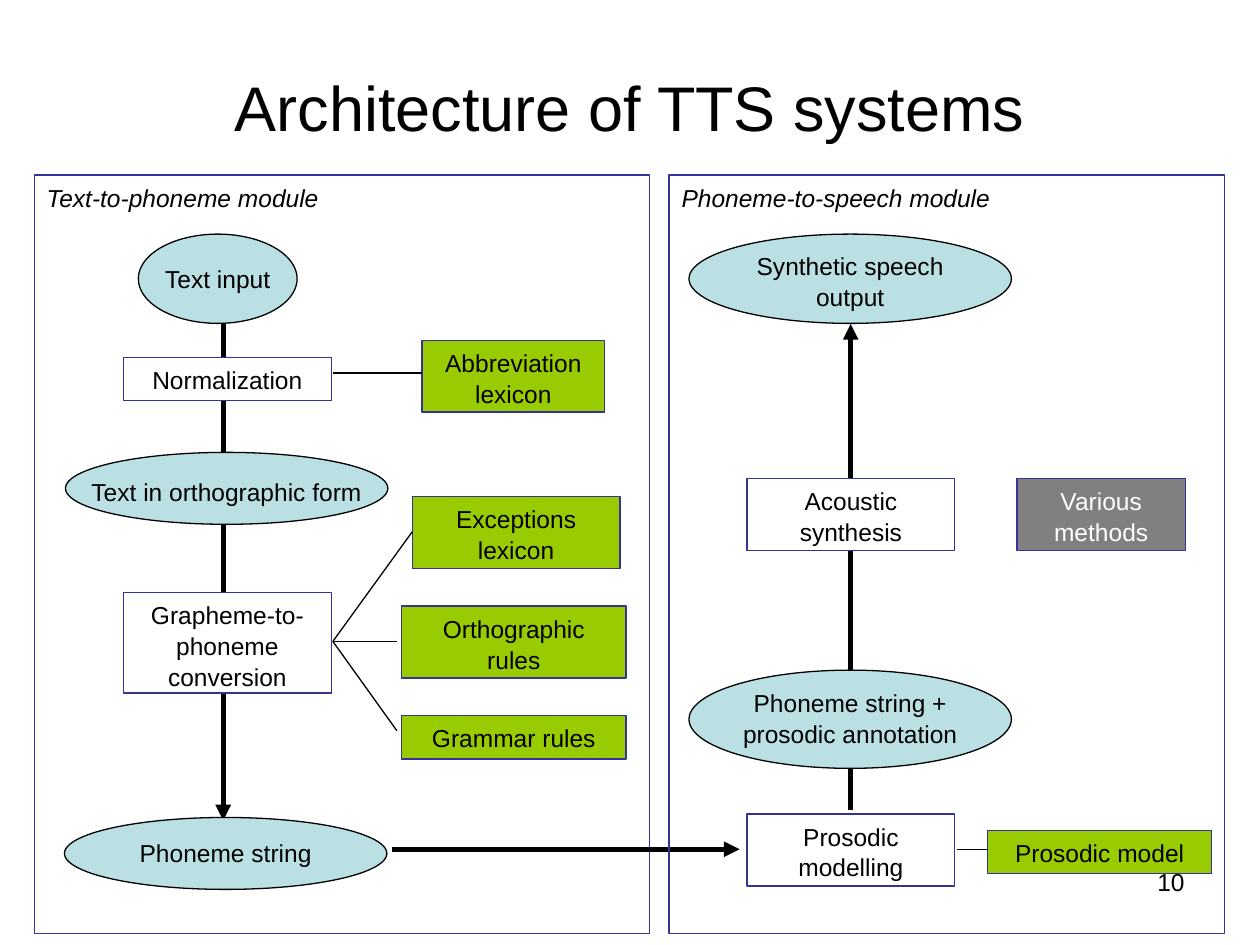
from lxml.etree import SubElement
from pptx import Presentation
from pptx.dml.color import RGBColor
from pptx.enum.shapes import MSO_CONNECTOR, MSO_SHAPE
from pptx.enum.text import MSO_ANCHOR, PP_ALIGN
from pptx.oxml.ns import qn
from pptx.util import Cm, Pt

BLACK = RGBColor(0x00, 0x00, 0x00)
WHITE = RGBColor(0xFF, 0xFF, 0xFF)
NAVY = RGBColor(0x33, 0x33, 0x99)
PALE_BLUE = RGBColor(0xBB, 0xE0, 0xE3)
GREEN = RGBColor(0x99, 0xCC, 0x00)
GRAY = RGBColor(0x80, 0x80, 0x80)


class Diagram:
    """Style and current slide; all positions are in centimetres."""
    font = "Arial"
    text_size = 14
    thin, thick = 0.75, 3

    def __init__(self, slide):
        self.slide = slide

    def add_text(self, shape, text, size=text_size, color=BLACK, italic=False,
                 align=PP_ALIGN.CENTER, anchor=MSO_ANCHOR.TOP, spacing=1.05):
        frame = shape.text_frame
        frame.word_wrap = True
        frame.vertical_anchor = anchor
        paragraph = frame.paragraphs[0]
        paragraph.alignment = align
        paragraph.line_spacing = spacing
        run = paragraph.add_run()
        run.text = text
        run.font.name = self.font
        run.font.size = Pt(size)
        run.font.italic = italic
        run.font.color.rgb = color

    def label(self, text, x, y, w, h, **style):
        box = self.slide.shapes.add_textbox(Cm(x), Cm(y), Cm(w), Cm(h))
        self.add_text(box, text, **style)

    def outline(self, kind, x, y, w, h, fill, line):
        shape = self.slide.shapes.add_shape(kind, Cm(x), Cm(y), Cm(w), Cm(h))
        shape.shadow.inherit = False
        if fill is None:
            shape.fill.background()
        else:
            shape.fill.solid()
            shape.fill.fore_color.rgb = fill
        shape.line.color.rgb = line
        shape.line.width = Pt(self.thin)
        return shape

    def box(self, text, x, y, w, lines=1, fill=WHITE, color=BLACK):
        height = 0.29 + 0.58 * lines
        shape = self.outline(MSO_SHAPE.RECTANGLE, x, y, w, height, fill, NAVY)
        self.add_text(shape, text, color=color)

    def module(self, text, x, w):
        shape = self.outline(MSO_SHAPE.RECTANGLE, x, 3.53, w, 15.29, None, NAVY)
        self.add_text(shape, text, italic=True, align=PP_ALIGN.LEFT)

    def data(self, text, x, y, w, h, text_y, text_w, lines=1):
        self.outline(MSO_SHAPE.OVAL, x, y, w, h, PALE_BLUE, BLACK)
        self.label(text, x + (w - text_w) / 2, text_y, text_w, 0.29 + 0.58 * lines)

    def link(self, start, end, arrow=False):
        connector = self.slide.shapes.add_connector(
            MSO_CONNECTOR.STRAIGHT, *map(Cm, start + end))
        connector.line.color.rgb = BLACK
        connector.line.width = Pt(self.thick if arrow else self.thin)
        properties = connector.element.spPr
        if arrow:
            SubElement(properties.find(qn("a:ln")), qn("a:tailEnd"), type="triangle")
        SubElement(properties, qn("a:effectLst"))


def main():
    presentation = Presentation()
    presentation.slide_width, presentation.slide_height = Cm(25.4), Cm(19.05)
    diagram = Diagram(presentation.slides.add_slide(presentation.slide_layouts[6]))

    # Slide number and title
    diagram.label("10", 18.21, 17.35, 5.92, 1.32, align=PP_ALIGN.RIGHT, spacing=1)
    diagram.label("Architecture of TTS systems", 3.1, 0.71, 19.2, 2.87,
                  size=36, anchor=MSO_ANCHOR.MIDDLE, spacing=1)

    # Main flow, behind the steps
    diagram.link((17.15, 16.33), (17.15, 6.53), arrow=True)
    diagram.link((4.5, 6.53), (4.5, 16.54), arrow=True)

    # Data passed between steps
    diagram.data("Text input", 2.79, 4.72, 3.2, 1.8, 5.16, 4.19)
    diagram.data("Text in orthographic form", 1.32, 9.12, 6.5, 1.45, 9.47, 8.56)
    diagram.data("Phoneme string", 1.3, 16.48, 6.5, 1.45, 16.74, 5.21)
    diagram.data("Phoneme string + prosodic annotation",
                 13.89, 13.51, 6.5, 1.98, 13.72, 5.21, lines=2)
    diagram.data("Synthetic speech output",
                 13.89, 4.72, 6.5, 1.8, 4.9, 5.21, lines=2)

    # Processing steps
    for text, x, y, lines, fill in (
            ("Normalization", 2.49, 7.21, 1, WHITE),
            ("Grapheme-to-phoneme conversion", 2.49, 11.94, 3, WHITE),
            ("Acoustic synthesis", 15.06, 9.65, 2, WHITE),
            ("Prosodic modelling", 15.06, 16.41, 2, None)):
        diagram.box(text, x, y, 4.19, lines, fill)

    # Knowledge sources
    for text, x, y, w, lines in (
            ("Abbreviation lexicon", 8.51, 6.86, 3.68, 2),
            ("Exceptions lexicon", 8.31, 10.01, 4.19, 2),
            ("Orthographic rules", 8.1, 12.22, 4.52, 2),
            ("Grammar rules", 8.1, 14.43, 4.52, 1),
            ("Prosodic model", 19.91, 16.74, 4.52, 1)):
        diagram.box(text, x, y, w, lines, GREEN)
    diagram.box("Various methods", 20.5, 9.65, 3.4, 2, GRAY, WHITE)

    # Links from steps to their sources
    diagram.link((6.71, 7.52), (8.51, 7.52))
    for source in ((8.31, 10.72), (8.0, 12.93), (8.0, 14.73)):
        diagram.link((6.71, 12.93), source)
    diagram.link((19.3, 17.12), (19.91, 17.12))

    # Modules and the hand-over between them
    diagram.module("Text-to-phoneme module", 0.69, 12.4)
    diagram.link((7.9, 17.12), (14.91, 17.12), arrow=True)
    diagram.module("Phoneme-to-speech module", 13.49, 11.2)

    presentation.save("out.pptx")


if __name__ == "__main__":
    main()
